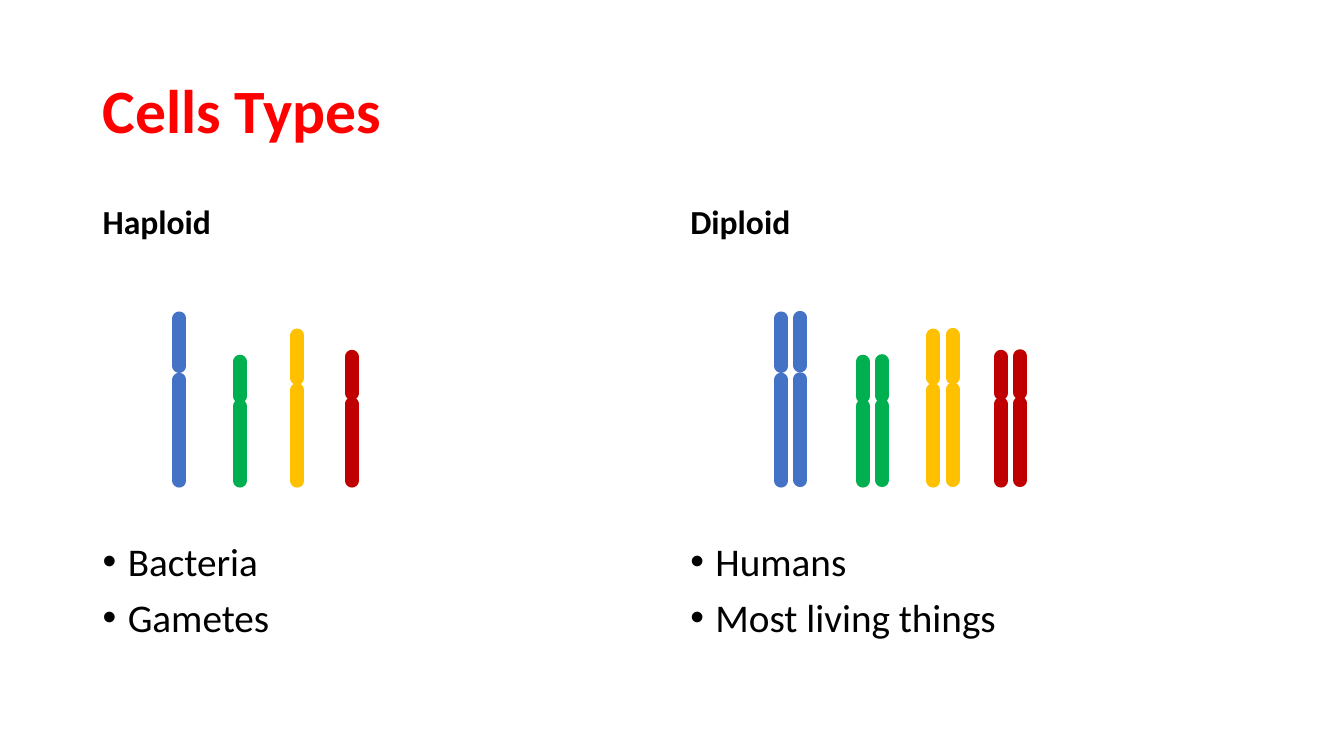
from lxml import etree
from pptx import Presentation
from pptx import util as u
from pptx.dml import color
from pptx.enum import shapes, text
from pptx.oxml import ns

Pt = u.Pt
FONT = "Calibri"
COLORS = {
    "title": "FF0000", "text": "000000", "blue": "4472C4",
    "green": "00B050", "yellow": "FFC000", "red": "C00000",
}
ARMS = {
    "blue": (227.5, 261.4, 271.3),
    "green": (258.4, 283, 290.2),
    "yellow": (239.7, 270, 278.6),
    "red": (254.9, 280.8, 288.6),
}
BOTTOM = 343.3
CHROMATID_GAP = 13.7
COLUMNS = [
    ("Haploid", ["Bacteria", "Gametes"], 66.2, 406, (128.2, 171.4, 212.4, 251.3), 1),
    ("Diploid", ["Humans", "Most living things"], 486, 408.2, (558, 616.3, 666.7, 715), 2),
]


def rgb(name):
    return color.RGBColor.from_string(COLORS[name])


def style_frame(frame, anchor):
    frame.word_wrap = True
    frame.auto_size = text.MSO_AUTO_SIZE.NONE
    frame.vertical_anchor = anchor


def style_para(para, size, name, bold=False, before=0):
    para.alignment = text.PP_ALIGN.LEFT
    para.line_spacing = 0.9
    para.space_before = Pt(before)
    for span in para.runs:
        span.font.name = FONT
        span.font.size = Pt(size)
        span.font.bold = bold
        span.font.color.rgb = rgb(name)


def add_bullet(para):
    props = para._p.get_or_add_pPr()
    props.set("marL", str(Pt(18)))
    props.set("indent", str(-Pt(18)))
    etree.SubElement(props, ns.qn("a:buFont"), typeface="Arial")
    etree.SubElement(props, ns.qn("a:buChar"), char="•")


def set_title(page, words):
    title = page.shapes.title
    title.left, title.top, title.width, title.height = Pt(66.2), Pt(28.8), Pt(828), Pt(104.4)
    frame = title.text_frame
    frame.text = words
    style_frame(frame, text.MSO_ANCHOR.MIDDLE)
    style_para(frame.paragraphs[0], 44, "title", bold=True)


def add_heading(page, words, left, width):
    box = page.shapes.add_textbox(Pt(left), Pt(111.6), Pt(width), Pt(64.8))
    frame = box.text_frame
    frame.text = words
    style_frame(frame, text.MSO_ANCHOR.BOTTOM)
    style_para(frame.paragraphs[0], 24, "text", bold=True, before=10)


def add_examples(page, items, left, width):
    box = page.shapes.add_textbox(Pt(left), Pt(383.8), Pt(width), Pt(103.7))
    frame = box.text_frame
    frame.text = "\n".join(items)
    style_frame(frame, text.MSO_ANCHOR.TOP)
    for para in frame.paragraphs:
        style_para(para, 28, "text", before=10)
        add_bullet(para)


def add_arm(group, x, top, bottom, name):
    arm = group.shapes.add_connector(
        shapes.MSO_CONNECTOR.STRAIGHT, Pt(x), Pt(top), Pt(x), Pt(bottom))
    arm.line.color.rgb = rgb(name)
    arm.line.width = Pt(10)
    arm.line._get_or_add_ln().set("cap", "rnd")
    etree.SubElement(arm._element.spPr, ns.qn("a:effectLst"))


def add_chromatid(page, x, name, lift):
    top, centre_top, centre_bottom = ARMS[name]
    group = page.shapes.add_group_shape()
    add_arm(group, x, top - lift, centre_top - lift, name)
    add_arm(group, x, centre_bottom - lift, BOTTOM - lift, name)


def main():
    deck = Presentation()
    deck.slide_width, deck.slide_height = Pt(960), Pt(540)
    page = deck.slides.add_slide(deck.slide_layouts.get_by_name("Title Only"))
    set_title(page, "Cells Types")
    for heading, examples, left, width, positions, copies in COLUMNS:
        add_heading(page, heading, left, width)
        add_examples(page, examples, left, width)
        for index in range(copies):
            for name, x in zip(ARMS, positions):
                add_chromatid(page, x + index * CHROMATID_GAP, name, index * 0.4)
    deck.save("out.pptx")


if __name__ == "__main__":
    main()
